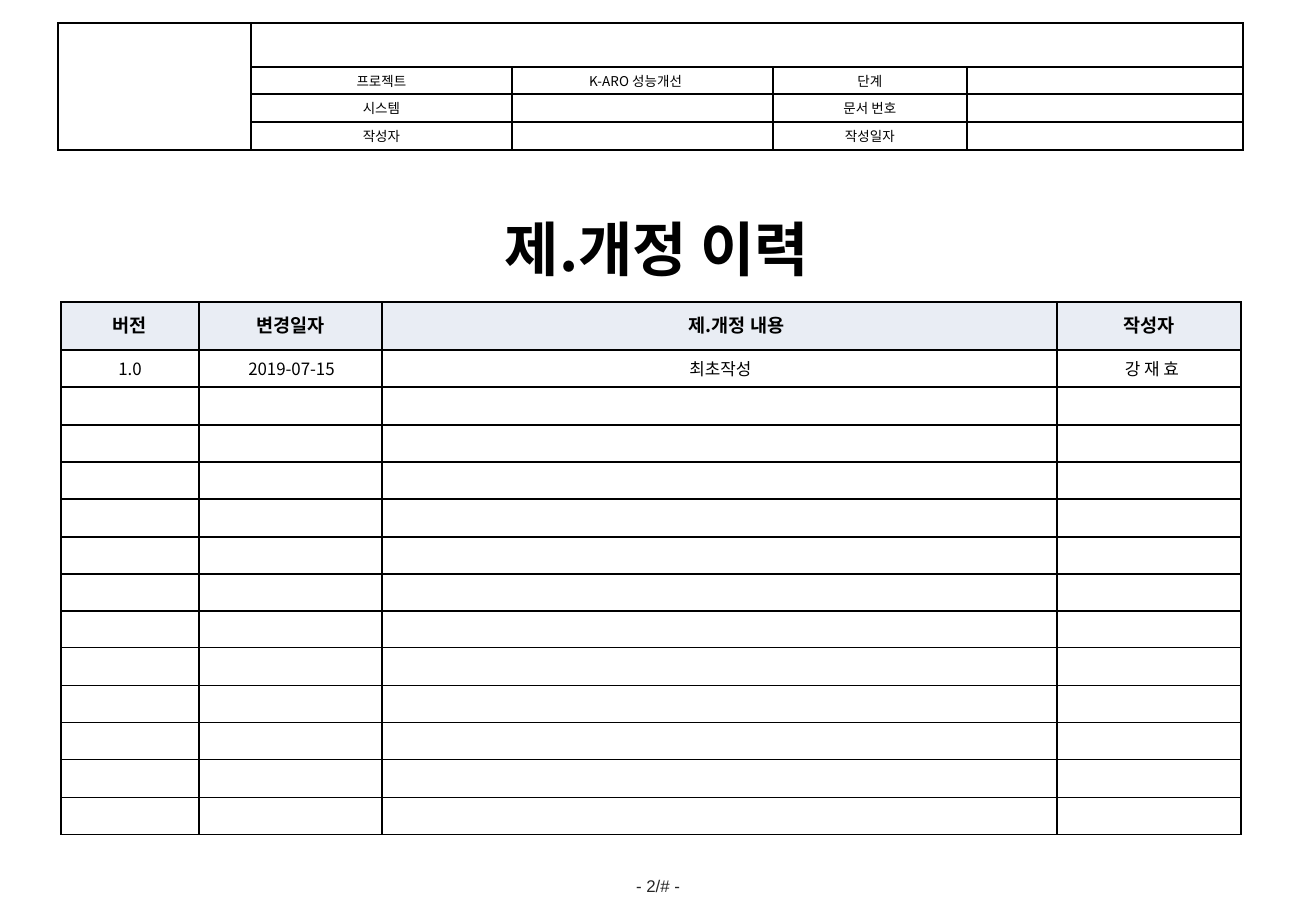
from dataclasses import dataclass
from itertools import pairwise

from lxml.etree import SubElement
from pptx import Presentation
from pptx.dml.color import RGBColor
from pptx.enum.text import MSO_ANCHOR, PP_ALIGN
from pptx.oxml.ns import qn
from pptx.util import Pt

EMU_PER_PX = 7526


@dataclass(frozen=True)
class Theme:
    korean: str = "Noto Sans CJK KR"
    latin: str = "Arial"
    ink: str = "000000"
    footer_ink: str = "262626"
    paper: str = "FFFFFF"
    heading_fill: str = "E9EDF4"
    title_size: int = 35
    heading_size: int = 11
    body_size: int = 10
    form_size: int = 8
    border_width: int = 1


THEME = Theme()


def px(length):
    return int(length * EMU_PER_PX)


def add_span(para, text, size, font=THEME.korean, color=THEME.ink, bold=False):
    para.alignment = PP_ALIGN.CENTER
    span = para.add_run()
    span.text = text
    span.font.size = Pt(size)
    span.font.bold = bold
    span.font.name = font
    span.font.color.rgb = RGBColor.from_string(color)
    SubElement(span.font._element, qn("a:ea"), typeface=font)


def add_text_box(page, box, text, size, **style):
    frame = page.shapes.add_textbox(*map(px, box)).text_frame
    frame.word_wrap = True
    add_span(frame.paragraphs[0], text, size, **style)
    return frame


def style_cell(cell, fill, side_margin):
    cell.vertical_anchor = MSO_ANCHOR.MIDDLE
    cell.margin_left = cell.margin_right = px(side_margin)
    cell.margin_top = cell.margin_bottom = 0
    # Borders on all four sides
    properties = cell._tc.get_or_add_tcPr()
    for side in ("lnL", "lnR", "lnT", "lnB"):
        line = SubElement(properties, qn(f"a:{side}"), w=str(Pt(THEME.border_width)))
        solid = SubElement(line, qn("a:solidFill"))
        SubElement(solid, qn("a:srgbClr"), val=THEME.ink)
    cell.fill.solid()
    cell.fill.fore_color.rgb = RGBColor.from_string(fill)


def add_grid(page, box, columns, rows, side_margin=0):
    frame = page.shapes.add_table(len(rows), len(columns), *map(px, box))
    table = frame.table
    table.first_row = table.horz_banding = False
    for column, width in zip(table.columns, columns):
        column.width = px(width)
    for row, height in zip(table.rows, rows):
        row.height = px(height)
    for cell in table.iter_cells():
        style_cell(cell, THEME.paper, side_margin)
    return table


def keep_empty_cells_low(table):
    for cell in table.iter_cells():
        if not cell.text:
            para = cell.text_frame.paragraphs[0]
            SubElement(para._p, qn("a:endParaRPr"), sz=str(THEME.form_size * 100))


def add_document_header(page, box):
    table = add_grid(page, box, [193, 261, 261, 194, 276], [44, 27, 28, 28])
    table.cell(0, 0).merge(table.cell(3, 0))
    table.cell(0, 1).merge(table.cell(0, 4))
    entries = [
        ("프로젝트", "K-ARO 성능개선　", "단계"),
        ("시스템", "", "문서 번호"),
        ("작성자", "", "작성일자"),
    ]
    for row, texts in enumerate(entries, 1):
        for column, text in enumerate(texts, 1):
            if text:
                para = table.cell(row, column).text_frame.paragraphs[0]
                add_span(para, text, THEME.form_size)
    keep_empty_cells_low(table)


def add_history_table(page, box):
    heading_height, entry_count = 48, 13
    entries_height = box[3] - heading_height
    edges = [round(entries_height * i / entry_count) for i in range(entry_count + 1)]
    rows = [heading_height] + [low - high for high, low in pairwise(edges)]
    table = add_grid(page, box, [138, 183, 675, 184], rows, side_margin=9)
    # Each row: texts, left indents in px, type size, bold, fill
    lines = [
        (("버전", "변경일자", "제.개정 내용", "작성자"), (0, 0, 34, 0),
         THEME.heading_size, True, THEME.heading_fill),
        (("1.0", "2019-07-15", "최초작성", " 강 재 효"), (0, 2, 2, 2),
         THEME.body_size, False, THEME.paper),
    ]
    for row, (texts, indents, size, bold, fill) in enumerate(lines):
        for column, (text, indent) in enumerate(zip(texts, indents)):
            cell = table.cell(row, column)
            cell.fill.fore_color.rgb = RGBColor.from_string(fill)
            para = cell.text_frame.paragraphs[0]
            para.line_spacing = Pt(14)
            para._p.get_or_add_pPr().set("marL", str(px(indent)))
            add_span(para, text, size, bold=bold)
    keep_empty_cells_low(table)


def add_page_number(page, box):
    frame = add_text_box(page, box, "- 2/# -", THEME.body_size,
                         font=THEME.latin, color=THEME.footer_ink)
    frame.word_wrap = False
    frame.vertical_anchor = MSO_ANCHOR.MIDDLE
    frame.margin_left = frame.margin_right = 0
    frame.margin_top = frame.margin_bottom = 0


def main():
    deck = Presentation()
    deck.slide_width, deck.slide_height = px(1316), px(911)
    page = deck.slides.add_slide(deck.slide_layouts[6])
    # Document header and page number
    add_document_header(page, (58, 23, 1185, 127))
    add_page_number(page, (620, 876, 76, 20))
    # Title and revision history
    add_text_box(page, (64, 207, 1186, 84), "제.개정 이력", THEME.title_size, bold=True)
    add_history_table(page, (61, 302, 1180, 533))
    deck.save("out.pptx")


if __name__ == "__main__":
    main()
